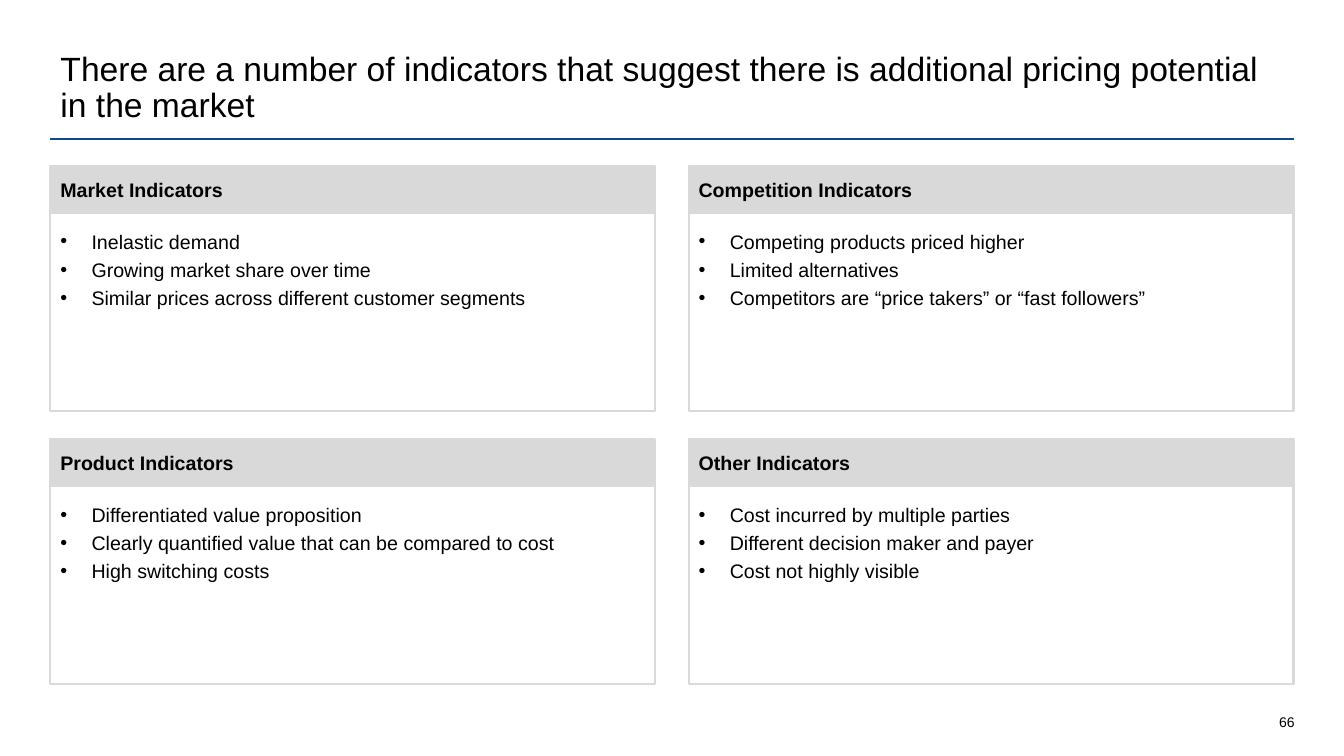
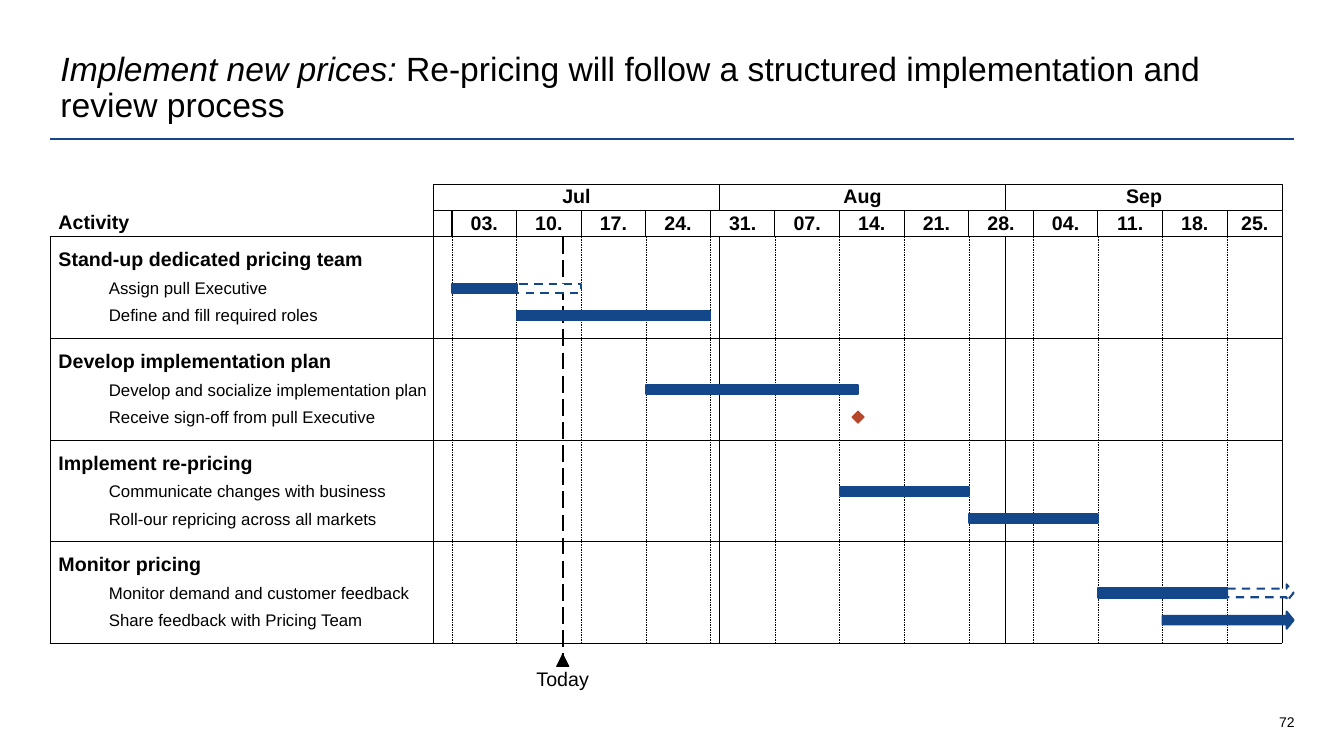
from lxml.etree import SubElement
from pptx import Presentation
from pptx.dml.color import RGBColor
from pptx.enum.dml import MSO_LINE_DASH_STYLE as Dash
from pptx.enum.shapes import MSO_CONNECTOR as Connector, MSO_SHAPE as Shape
from pptx.enum.text import MSO_ANCHOR as Anchor, MSO_AUTO_SIZE as AutoSize, PP_ALIGN as Align
from pptx.oxml.ns import qn
from pptx.util import Inches, Pt

FONT = "Arial"
COLORS = {
    "text": "000000",
    "accent": "14478A",
    "panel": "D9D9D9",
    "paper": "FFFFFF",
    "milestone": "B7472A",
}
LEFT, RIGHT = 0.5, 12.83

CARDS = [
    ("Market Indicators", [
        "Inelastic demand",
        "Growing market share over time",
        "Similar prices across different customer segments"]),
    ("Competition Indicators", [
        "Competing products priced higher",
        "Limited alternatives",
        "Competitors are “price takers” or “fast followers”"]),
    ("Product Indicators", [
        "Differentiated value proposition",
        "Clearly quantified value that can be compared to cost",
        "High switching costs"]),
    ("Other Indicators", [
        "Cost incurred by multiple parties",
        "Different decision maker and payer",
        "Cost not highly visible"]),
]

# Days are counted from 1 July; each mark is (kind, first day, last day).
MONTHS = [("Jul", 0, 31), ("Aug", 31, 62), ("Sep", 62, 92)]
MONDAYS = ["03.", "10.", "17.", "24.", "31.", "07.", "14.",
           "21.", "28.", "04.", "11.", "18.", "25."]
FIRST_MONDAY, LAST_DAY, TODAY = 2, 92, 14
ARROW_END = 93.2
PHASES = [
    ("Stand-up dedicated pricing team", [
        ("Assign pull Executive", [("open bar", 9, 16), ("bar", 2, 9)]),
        ("Define and fill required roles", [("bar", 9, 30)])]),
    ("Develop implementation plan", [
        ("Develop and socialize implementation plan", [("bar", 23, 46)]),
        ("Receive sign-off from pull Executive", [("milestone", 46, 46)])]),
    ("Implement re-pricing", [
        ("Communicate changes with business", [("bar", 44, 58)]),
        ("Roll-our repricing across all markets", [("bar", 58, 72)])]),
    ("Monitor pricing", [
        ("Monitor demand and customer feedback",
         [("open arrow", 86, ARROW_END), ("bar", 72, 86)]),
        ("Share feedback with Pricing Team", [("arrow", 79, ARROW_END)])]),
]


def rgb(name):
    return RGBColor.from_string(COLORS[name])


def add_span(para, text, size, bold=False, italic=False):
    span = para.add_run()
    span.text = text
    font = span.font
    font.name, font.size, font.bold, font.italic = FONT, Pt(size), bold, italic
    font.color.rgb = rgb("text")


def set_frame(frame, anchor=Anchor.TOP, insets=(0.1, 0.05)):
    frame.word_wrap = True
    frame.auto_size = AutoSize.NONE
    frame.vertical_anchor = anchor
    frame.margin_left = frame.margin_right = Inches(insets[0])
    frame.margin_top = frame.margin_bottom = Inches(insets[1])


def write_line(shape, text, size, bold=False, align=Align.LEFT,
               anchor=Anchor.TOP, insets=(0, 0), spacing=0.9):
    set_frame(shape.text_frame, anchor, insets)
    para = shape.text_frame.paragraphs[0]
    para.alignment = align
    para.line_spacing = spacing
    add_span(para, text, size, bold)


def write_bullets(frame, items):
    for index, item in enumerate(items):
        para = frame.add_paragraph() if index else frame.paragraphs[0]
        para.alignment = Align.LEFT
        para.line_spacing = 1.2
        props = para._p.get_or_add_pPr()
        props.set("marL", str(Inches(0.31)))
        props.set("indent", str(-Inches(0.31)))
        SubElement(props, qn("a:buFont"), typeface=FONT)
        SubElement(props, qn("a:buChar"), char="•")
        add_span(para, item, 14)


def add_box(page, kind, left, top, width, height,
            fill=None, line=None, weight=0.75, dash=None):
    box = page.shapes.add_shape(
        kind, Inches(left), Inches(top), Inches(width), Inches(height))
    box.shadow.inherit = False
    if fill:
        box.fill.solid()
        box.fill.fore_color.rgb = rgb(fill)
    else:
        box.fill.background()
    if line:
        box.line.color.rgb = rgb(line)
        box.line.width = Pt(weight)
        if dash:
            box.line.dash_style = dash
    else:
        box.line.fill.background()
    return box


def add_line(page, x1, y1, x2, y2, weight=0.75, color="text", dash=None):
    line = page.shapes.add_connector(
        Connector.STRAIGHT, Inches(x1), Inches(y1), Inches(x2), Inches(y2))
    line.line.color.rgb = rgb(color)
    line.line.width = Pt(weight)
    if dash:
        line.line.dash_style = dash
    SubElement(line._element.spPr, qn("a:effectLst"))


def add_label(page, text, left, top, width, height, size, **style):
    box = page.shapes.add_textbox(
        Inches(left), Inches(top), Inches(width), Inches(height))
    write_line(box, text, size, **style)


def add_page(deck, number, title_spans):
    """Add a page with its title, title rule and page number."""
    page = deck.slides.add_slide(deck.slide_layouts[5])
    title = page.shapes.title
    title.left, title.top = Inches(LEFT), Inches(0.4)
    title.width, title.height = Inches(12.33), Inches(0.89)
    set_frame(title.text_frame, Anchor.BOTTOM)
    para = title.text_frame.paragraphs[0]
    para.alignment = Align.LEFT
    para.line_spacing = 0.9
    for text, italic in title_spans:
        add_span(para, text, 24, italic=italic)
    add_line(page, LEFT, 1.38, RIGHT, 1.38, 1.5, "accent")
    add_label(page, str(number), 12.2, 6.92, 0.64, 0.33, 10,
              align=Align.RIGHT, anchor=Anchor.BOTTOM, spacing=1)
    return page


def add_card(page, heading, items, left, top, width, height):
    head = 0.46
    body = add_box(page, Shape.RECTANGLE, left, top + head, width, height - head,
                   "paper", "panel", 1.5)
    set_frame(body.text_frame, insets=(0.1, 0.12))
    write_bullets(body.text_frame, items)
    header = add_box(page, Shape.RECTANGLE, left, top, width, head,
                     "panel", "panel", 1.5)
    write_line(header, heading, 14, True, anchor=Anchor.MIDDLE,
               insets=(0.1, 0.05), spacing=1)


def add_card_grid(page, left, top, right):
    width, height, row_gap = 6, 2.43, 0.28
    for index, (heading, items) in enumerate(CARDS):
        row, column = divmod(index, 2)
        add_card(page, heading, items, left + column * (right - left - width),
                 top + row * (height + row_gap), width, height)


def add_mark(page, kind, start, end, middle):
    """Draw a bar, arrow or milestone centred on the height of its task."""
    if kind == "milestone":
        size = 0.12
        add_box(page, Shape.DIAMOND, start - size / 2, middle - size / 2,
                size, size, "milestone", "milestone")
        return
    is_open, is_arrow = kind.startswith("open"), kind.endswith("arrow")
    height = 0.17 if is_arrow else 0.09
    mark = add_box(page, Shape.RIGHT_ARROW if is_arrow else Shape.RECTANGLE,
                   start, middle - height / 2, end - start, height,
                   "paper" if is_open else "accent", "accent", 1.5,
                   Dash.DASH if is_open else None)
    if is_arrow:
        mark.adjustments[0], mark.adjustments[1] = 0.5, 0.407


def add_gantt(page, left, top, width, height):
    label_width, header_row = 3.8, 0.26
    right, bottom = left + width, top + height
    body_top = top + 2 * header_row
    phase_height = (bottom - body_top) / len(PHASES)
    task_gap, text_left, text_width = 0.27, left + 0.08, label_width - 0.09

    def day_x(day):
        return left + label_width + day * (width - label_width) / LAST_DAY

    mondays = [FIRST_MONDAY + 7 * week for week in range(len(MONDAYS))]
    weeks = zip(MONDAYS, mondays, mondays[1:] + [LAST_DAY])
    for row, cells in enumerate([MONTHS, [("", 0, FIRST_MONDAY), *weeks]]):
        for text, start, end in cells:
            cell = add_box(page, Shape.RECTANGLE, day_x(start), top + row * header_row,
                           day_x(end) - day_x(start), header_row, line="text")
            if text:
                write_line(cell, text, 14, True, Align.CENTER, Anchor.MIDDLE, (0, 0.03))

    for x in (left, day_x(0), right):
        add_line(page, x, body_top, x, bottom)
    for _, start, _ in MONTHS[1:]:
        add_line(page, day_x(start), body_top, day_x(start), bottom, 0.25)
    for day in mondays:
        add_line(page, day_x(day), body_top, day_x(day), bottom, 0.25, dash=Dash.DASH)
    for index in range(len(PHASES) + 1):
        y = body_top + index * phase_height
        add_line(page, left, y, right, y, 0.25 if 0 < index < len(PHASES) else 0.75)
    add_today(page, day_x(TODAY), body_top, bottom)

    add_label(page, "Activity", text_left, body_top - 0.24, text_width, 0.21, 14,
              bold=True, anchor=Anchor.BOTTOM)
    for index, (phase, tasks) in enumerate(PHASES):
        phase_top = body_top + index * phase_height
        add_label(page, phase, text_left, phase_top + 0.13, text_width, 0.21, 14, bold=True)
        for row, (task, marks) in enumerate(tasks):
            task_top = phase_top + 0.43 + row * task_gap
            add_label(page, task, text_left + 0.5, task_top, text_width - 0.5, 0.18, 12)
            for kind, start, end in marks:
                add_mark(page, kind, day_x(start), day_x(end), task_top + 0.08)


def add_today(page, x, top, bottom):
    size, label_width = 0.12, 0.6
    add_line(page, x, top, x, bottom + 0.18, 1.5, dash=Dash.LONG_DASH)
    add_box(page, Shape.ISOSCELES_TRIANGLE, x - size / 2, bottom + 0.11, size, size,
            "text", "text")
    label = add_box(page, Shape.RECTANGLE, x - label_width / 2, bottom + 0.26,
                    label_width, 0.21, "paper")
    write_line(label, "Today", 14, align=Align.CENTER)


def main():
    deck = Presentation()
    deck.slide_width, deck.slide_height = Inches(13.33), Inches(7.5)
    indicators = add_page(deck, 66, [
        ("There are a number of indicators that suggest there is additional "
         "pricing potential in the market", False)])
    add_card_grid(indicators, LEFT, 1.65, RIGHT)
    schedule = add_page(deck, 72, [
        ("Implement new prices: ", True),
        ("Re-pricing will follow a structured implementation and review process", False)])
    add_gantt(schedule, LEFT, 1.83, 12.22, 4.55)
    deck.save("out.pptx")


if __name__ == "__main__":
    main()
